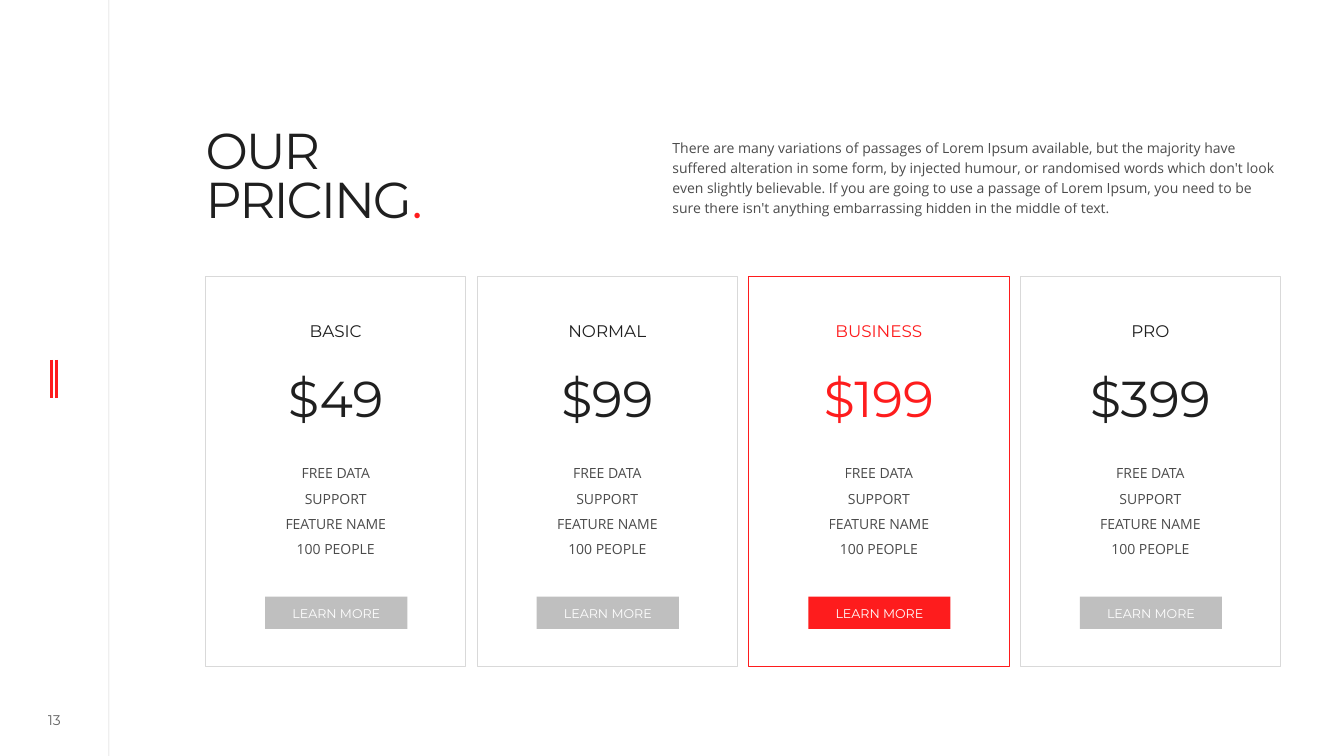
"""Builds the pricing slide with four plan cards."""
from lxml import etree
from pptx import Presentation
from pptx.dml.color import RGBColor
from pptx.enum import shapes, text
from pptx.oxml.ns import qn
from pptx.util import Inches, Pt

INK = {"dark": "1F1F1F", "red": "FE1C1D", "edge": "D9D9D9", "gray": "BFBFBF", "white": "FFFFFF"}
HEAD, BODY = "Montserrat", "Open Sans"
TITLE = "OUR\nPRICING"
INTRO = (
    "There are many variations of passages of Lorem Ipsum available, but the majority have "
    "suffered alteration in some form, by injected humour, or randomised words which don't look "
    "even slightly believable. If you are going to use a passage of Lorem Ipsum, you need to be "
    "sure there isn't anything embarrassing hidden in the middle of text."
)
PLANS = [
    ("BASIC", "$49", False),
    ("NORMAL", "$99", False),
    ("BUSINESS", "$199", True),
    ("PRO", "$399", False),
]
PERKS = "FREE DATA\nSUPPORT\nFEATURE NAME\n100 PEOPLE"
RULES = [(1.08, 0, 7.5, "dark", 0.5, 20), (0.51, 3.57, 3.95, "red", 2, 100), (0.56, 3.57, 3.95, "red", 2, 100)]
LEFT, RIGHT, TOP, WIDE, HIGH = 2.04, 12.7, 2.74, 2.58, 3.87
STEP = (RIGHT - LEFT - WIDE) / (len(PLANS) - 1)

deck = Presentation()
deck.slide_width, deck.slide_height = Inches(13.33), Inches(7.5)
slide = deck.slides.add_slide(deck.slide_layouts[6])


def rgb(name):
    return RGBColor.from_string(INK[name])


def fade(part, alpha):
    if alpha < 100:
        for tint in part.iter(qn("a:srgbClr")):
            etree.SubElement(tint, qn("a:alpha")).set("val", str(alpha * 1000))


def rule(x, top, end, ink, width, alpha):
    line = slide.shapes.add_connector(
        shapes.MSO_CONNECTOR.STRAIGHT, Inches(x), Inches(top), Inches(x), Inches(end))
    line.line.color.rgb, line.line.width = rgb(ink), Pt(width)
    fade(line._element, alpha)
    etree.SubElement(line._element.spPr, qn("a:effectLst"))


def write(shape, words, size, font, ink="dark", alpha=100, space=1.0,
          center=True, middle=False, pads=(0.05, 0.05)):
    frame = shape.text_frame
    frame.word_wrap = True
    frame.margin_left = frame.margin_right = 0
    frame.margin_top, frame.margin_bottom = map(Inches, pads)
    frame.vertical_anchor = text.MSO_ANCHOR.MIDDLE if middle else text.MSO_ANCHOR.TOP
    para = frame.paragraphs[0]
    para.text, para.line_spacing = words, space
    para.alignment = text.PP_ALIGN.CENTER if center else text.PP_ALIGN.LEFT
    para.font.size, para.font.name = Pt(size), font
    para.font.color.rgb = rgb(ink)
    fade(para._p, alpha)
    return para


def label(x, y, w, h, *args, **opts):
    return write(slide.shapes.add_textbox(*map(Inches, (x, y, w, h))), *args, **opts)


def box(x, y, w, h, fill=None, edge=None):
    rect = slide.shapes.add_shape(shapes.MSO_SHAPE.RECTANGLE, *map(Inches, (x, y, w, h)))
    rect.shadow.inherit = False
    if fill:
        rect.fill.solid()
        rect.fill.fore_color.rgb = rgb(fill)
    else:
        rect.fill.background()
    if edge:
        rect.line.color.rgb, rect.line.width = rgb(edge), Pt(0.5)
    else:
        rect.line.fill.background()
    return rect


def card(x, name, price, hot):
    ink = "red" if hot else "dark"
    box(x, TOP, WIDE, HIGH, edge="red" if hot else "edge")
    rows = [
        (3.19, 0.26, name, 12, HEAD, ink, 100, 0.7),
        (3.76, 0.57, price, 36, HEAD, ink, 100, 0.7),
        (4.48, 1.08, PERKS, 10, BODY, "dark", 80, 1.5),
    ]
    for y, h, *style in rows:
        label(x + 0.16, y, WIDE - 0.32, h, *style)
    button = box(x + 0.59, 5.92, 1.41, 0.32, fill="red" if hot else "gray")
    write(button, "LEARN MORE", 9, HEAD, "white", middle=True, pads=(0.07, 0.05))


def main():
    for line in RULES:
        rule(*line)
    label(0.26, 7.02, 0.56, 0.25, "13", 10, HEAD, alpha=70, middle=True, pads=(0, 0))
    title = label(LEFT, 1.09, 4.62, 1.77, TITLE, 36, HEAD, space=0.8, center=False, pads=(0.21, 0))
    dot = title.add_run()
    dot.text = "."
    dot.font.color.rgb = rgb("red")
    for run in title.runs:
        run._r.get_or_add_rPr().set("spc", "-150")
    label(6.67, 1.3, 6.04, 0.89, INTRO, 10, BODY, alpha=80, space=1.2, center=False)
    for i, plan in enumerate(PLANS):
        card(LEFT + i * STEP, *plan)
    deck.save("out.pptx")


if __name__ == "__main__":
    main()
